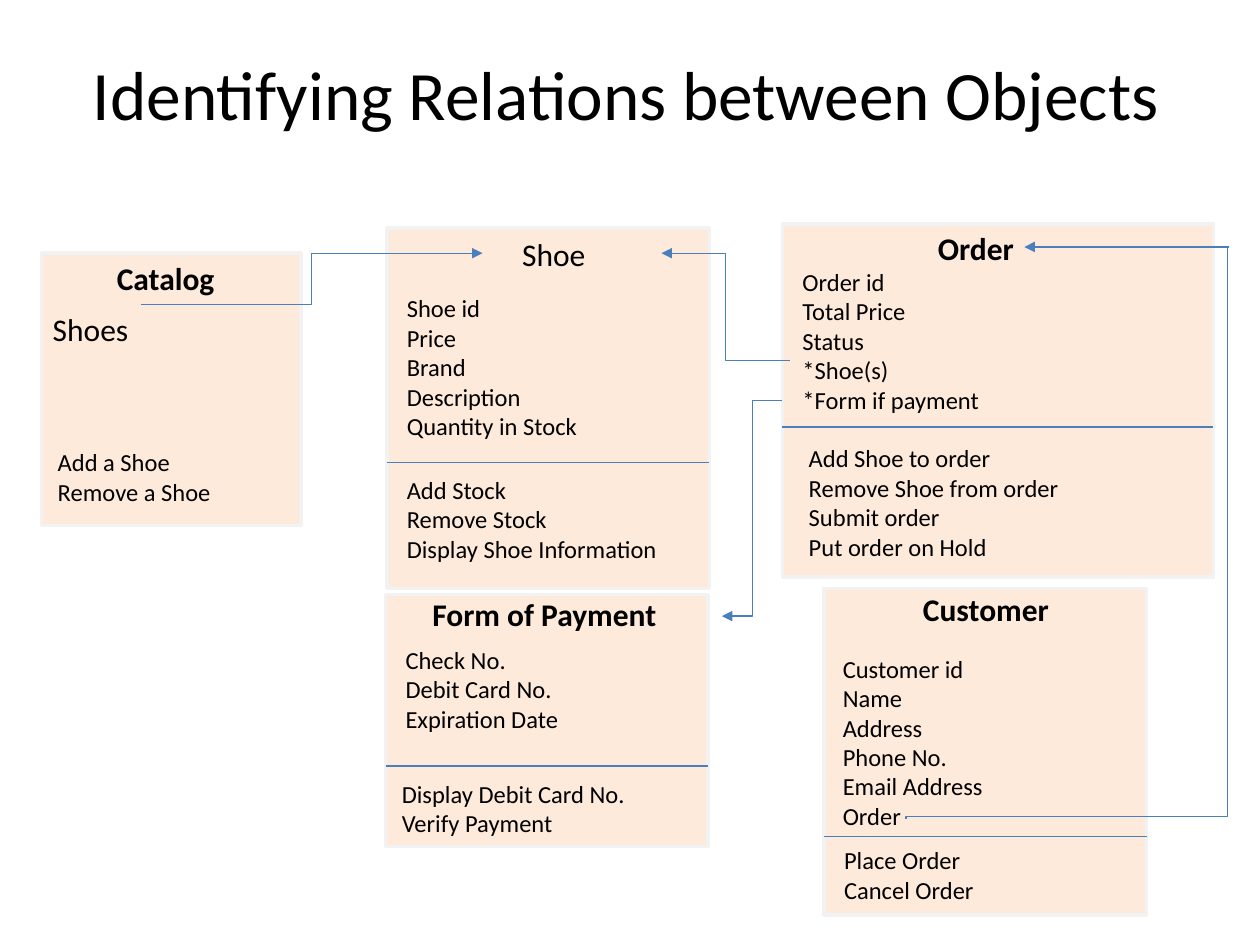
from lxml.etree import SubElement
from pptx import Presentation
from pptx.dml.color import RGBColor
from pptx.enum.shapes import MSO_CONNECTOR as CONN, MSO_SHAPE
from pptx.enum.text import MSO_ANCHOR, MSO_AUTO_SIZE, PP_ALIGN
from pptx.oxml.ns import qn
from pptx.util import Inches, Pt

FONT = "Calibri"
BLACK = RGBColor(0x00, 0x00, 0x00)
PEACH = RGBColor(0xFD, 0xEA, 0xDA)
PALE = RGBColor(0xF2, 0xF2, 0xF2)
BLUE = RGBColor(0x4B, 0x7E, 0xBC)

TITLE = "Identifying Relations between Objects"

# Boxes are (left, top, width, height) in inches; a divider is its y position.
CLASSES = [
    dict(box=(0.33, 2.01, 2.06, 2.16), divider=None,
         name=("Catalog", (0.41, 2.01, 1.81, 0.4), True),
         lists=[(["Shoes"], (0.32, 2.41, 1.22, 0.39), 18),
                (["Add a Shoe", "Remove a Shoe"], (0.36, 3.5, 1.79, 0.54), 14)]),
    dict(box=(3.07, 1.81, 2.56, 2.86), divider=3.67,
         name=("Shoe", (3.02, 1.82, 2.75, 0.4), False),
         lists=[(["Shoe id", "Price", "Brand", "Description", "Quantity in Stock"],
                 (3.13, 2.28, 1.78, 1.21), 14),
                (["Add Stock", "Remove Stock", "Display Shoe Information"],
                 (3.13, 3.72, 2.51, 1.06), 14)]),
    dict(box=(6.21, 1.78, 3.42, 2.8), divider=3.39,
         name=("Order", (6.37, 1.77, 2.75, 0.4), True),
         lists=[(["Order id", "Total Price", "Status", "*Shoe(s)", "*Form if payment"],
                 (6.27, 2.07, 2.09, 1.5), 14),
                (["Add Shoe to order", "Remove Shoe from order", "Submit order",
                  "Put order on Hold"], (6.32, 3.47, 2.95, 1.28), 14)]),
    dict(box=(3.06, 4.72, 2.56, 2), divider=6.08,
         name=("Form of Payment", (2.48, 4.67, 3.68, 0.4), True),
         lists=[(["Check No.", "Debit Card No.", "Expiration Date"],
                 (3.12, 5.07, 1.78, 1.06), 14),
                (["Display Debit Card No.", "Verify Payment"],
                 (3.09, 6.13, 2.51, 0.57), 14)]),
    dict(box=(6.54, 4.67, 2.56, 2.59), divider=6.64,
         name=("Customer", (6.45, 4.63, 2.75, 0.4), True),
         lists=[(["Customer id", "Name", "Address", "Phone No.", "Email Address", "Order"],
                 (6.59, 5.14, 1.78, 1.73), 14),
                (["Place Order", "Cancel Order"], (6.6, 6.66, 2.51, 0.84), 14)]),
]

# Relations: (kind, from, to)
ARROWS = [
    (CONN.ELBOW, (6.27, 2.86), (5.25, 2.01)),     # order to shoe
    (CONN.ELBOW, (6.21, 3.18), (5.73, 4.89)),     # order to payment
    (CONN.ELBOW, (1.12, 2.42), (3.83, 2.01)),     # catalog to shoe
    (CONN.STRAIGHT, (9.75, 1.96), (8.13, 1.96)),  # customer to order
]
CUSTOMER_LINK = ((7.19, 6.5), (9.74, 1.97))


def style_text(tf, size, bold=False, align=None):
    for p in tf.paragraphs:
        p.alignment = align
        for r in p.runs:
            r.font.name, r.font.size, r.font.bold = FONT, Pt(size), bold
            r.font.color.rgb = BLACK


def add_text(slide, lines, box, size, bold=False, align=PP_ALIGN.LEFT):
    tf = slide.shapes.add_textbox(*map(Inches, box)).text_frame
    tf.word_wrap = True
    tf.auto_size = MSO_AUTO_SIZE.SHAPE_TO_FIT_TEXT
    tf.text = "\n".join(lines)
    style_text(tf, size, bold, align)


def add_line(slide, kind, start, end, arrow=False):
    line = slide.shapes.add_connector(kind, *map(Inches, start + end))
    line.line.color.rgb = BLUE
    line.line.width = Pt(0.75)
    if arrow:
        SubElement(line.line._get_or_add_ln(), qn("a:tailEnd"), type="triangle")
    SubElement(line._element.spPr, qn("a:effectLst"))
    return line


def add_upright_elbow(slide, start, end, bend):
    """Elbow that leaves vertically: a level elbow turned a quarter about its centre."""
    (x1, y1), (x2, y2) = start, end
    cx, cy = (x1 + x2) / 2, (y1 + y2) / 2
    dx, dy = abs(y2 - y1) / 2, abs(x2 - x1) / 2
    line = add_line(slide, CONN.ELBOW, (cx + dx, cy + dy), (cx - dx, cy - dy))
    sp_pr = line._element.spPr
    sp_pr.find(qn("a:xfrm")).set("rot", str(90 * 60000))
    guides = sp_pr.find(qn("a:prstGeom")).find(qn("a:avLst"))
    SubElement(guides, qn("a:gd"), name="adj1", fmla=f"val {round(bend * 100000)}")


def add_class(slide, box, name, lists, divider):
    sp = slide.shapes.add_shape(MSO_SHAPE.FLOWCHART_PROCESS, *map(Inches, box))
    sp.shadow.inherit = False
    sp.fill.solid()
    sp.fill.fore_color.rgb = PEACH
    sp.line.color.rgb = PALE
    sp.line.width = Pt(2)
    label, label_box, bold = name
    add_text(slide, [label], label_box, 18, bold, PP_ALIGN.CENTER)
    for lines, list_box, size in lists:
        add_text(slide, lines, list_box, size)
    if divider:
        left, _, width, _ = box
        add_line(slide, CONN.STRAIGHT, (left, divider), (left + width, divider))


def main():
    prs = Presentation()
    prs.slide_width, prs.slide_height = Inches(10), Inches(7.5)
    slide = prs.slides.add_slide(prs.slide_layouts[5])

    title = slide.shapes.title
    title.left, title.top, title.width, title.height = map(Inches, (0.47, 0.11, 9, 1.25))
    tf = title.text_frame
    tf.text = TITLE
    tf.vertical_anchor = MSO_ANCHOR.MIDDLE
    style_text(tf, 39.6, align=PP_ALIGN.CENTER)

    for item in CLASSES:
        add_class(slide, **item)
    for kind, start, end in ARROWS:
        add_line(slide, kind, start, end, arrow=True)
    add_upright_elbow(slide, *CUSTOMER_LINK, bend=0.004)

    prs.save("out.pptx")


if __name__ == "__main__":
    main()
